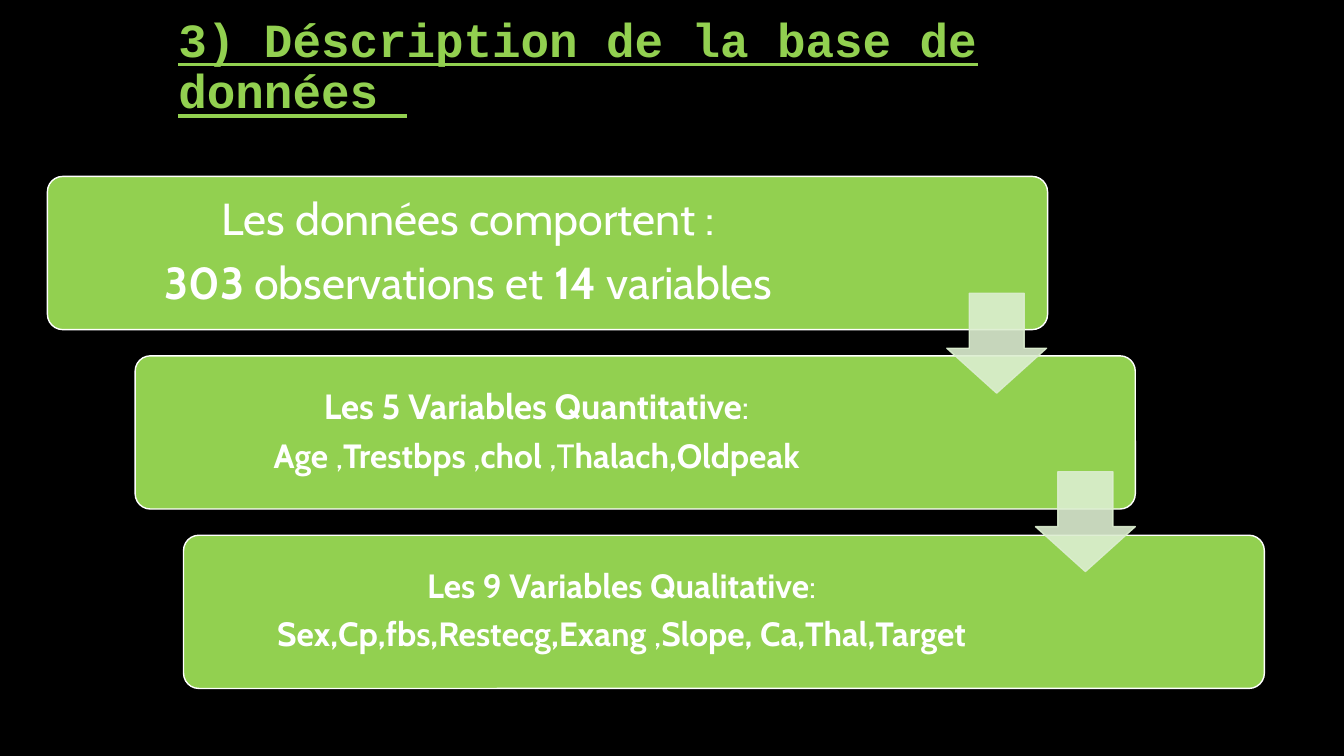
from dataclasses import dataclass

from lxml.etree import SubElement
from pptx import Presentation
from pptx.dml.color import RGBColor
from pptx.enum.shapes import MSO_SHAPE
from pptx.enum.text import MSO_ANCHOR, MSO_AUTO_SIZE, PP_ALIGN
from pptx.oxml.ns import qn
from pptx.util import Inches, Pt


@dataclass(frozen=True)
class Theme:
    background: RGBColor = RGBColor(0x00, 0x00, 0x00)
    green: RGBColor = RGBColor(0x92, 0xD0, 0x50)
    white: RGBColor = RGBColor(0xFF, 0xFF, 0xFF)
    arrow: RGBColor = RGBColor(0xDC, 0xEE, 0xD0)
    title_font: str = "Courier New"
    body_font: str = "Cabin"
    title_size: int = 34
    intro_size: int = 32
    heading_size: int = 25
    list_size: int = 24
    arrow_opacity: int = 90


THEME = Theme()

# Card geometry, in inches
CARD_TOP, CARD_STEP, CARD_HEIGHT = 1.75, 1.78, 1.52
TEXT_OFFSET, TEXT_HEIGHT = 0.04, 1.44

# Each card: left, width, text width, text inset, lines of (text, size).
# Asterisks enclose bold words.
CARDS = [
    (0.47, 9.92, 8.27, 0.13, [
        ("Les données comportent :", THEME.intro_size),
        ("*303* observations et *14* variables", THEME.intro_size),
    ]),
    (1.34, 9.92, 7.96, 0.1, [
        ("*Les 5 Variables Quantitative*: ", THEME.heading_size),
        ("*Age* ,*Trestbps* ,*chol* ,T*halach,Oldpeak *", THEME.list_size),
    ]),
    (1.82, 10.72, 8.61, 0.09, [
        (" *Les 9 Variables Qualitative*: ", THEME.list_size),
        ("*Sex,Cp,fbs,Restecg,Exang* ,*Slope, Ca,Thal,Target*", THEME.list_size),
    ]),
]


def write(paragraph, text, *, size, font, color, underline=None,
          align=None, space_after=None):
    """Fill a paragraph, with words between asterisks in bold."""
    paragraph.alignment = align
    paragraph.line_spacing = 0.9
    if space_after is not None:
        paragraph.space_after = Pt(space_after)
    for index, part in enumerate(text.split("*")):
        if not part:
            continue
        run = paragraph.add_run()
        run.text = part
        run.font.name = font
        run.font.size = Pt(size)
        run.font.bold = index % 2 == 1
        run.font.underline = underline
        run.font.color.rgb = color


def add_panel(slide, kind, left, top, width, height, adjustments, fill, line):
    """Draw a filled preset shape with a thin outline."""
    panel = slide.shapes.add_shape(
        kind, Inches(left), Inches(top), Inches(width), Inches(height))
    for index, value in enumerate(adjustments):
        panel.adjustments[index] = value
    panel.shadow.inherit = False
    panel.fill.solid()
    panel.fill.fore_color.rgb = fill
    panel.line.color.rgb = line
    panel.line.width = Pt(1)
    return panel


def add_title(slide):
    title = slide.shapes.title
    title.left, title.top = Inches(1.67), Inches(0.5)
    title.width, title.height = Inches(10), Inches(1.25)
    frame = title.text_frame
    frame.word_wrap = True
    frame.auto_size = MSO_AUTO_SIZE.NONE
    frame.vertical_anchor = MSO_ANCHOR.BOTTOM
    frame.margin_bottom = Inches(0.57)
    write(frame.paragraphs[0], "*3) Déscription de la base de données*\u00a0".replace("\u00a0", " "),
          size=THEME.title_size, font=THEME.title_font, color=THEME.green,
          underline=True, align=PP_ALIGN.LEFT)


def add_card(slide, top, left, width, text_width, inset, lines):
    add_panel(slide, MSO_SHAPE.ROUNDED_RECTANGLE, left, top, width,
              CARD_HEIGHT, [0.1], THEME.green, THEME.white)
    frame = slide.shapes.add_textbox(
        Inches(left + TEXT_OFFSET), Inches(top + TEXT_OFFSET),
        Inches(text_width), Inches(TEXT_HEIGHT)).text_frame
    frame.word_wrap = True
    frame.vertical_anchor = MSO_ANCHOR.MIDDLE
    frame.margin_left = frame.margin_right = Inches(inset)
    frame.margin_top = frame.margin_bottom = Inches(inset)
    for index, (text, size) in enumerate(lines):
        paragraph = frame.add_paragraph() if index else frame.paragraphs[0]
        write(paragraph, text, size=size, font=THEME.body_font,
              color=THEME.white, align=PP_ALIGN.CENTER,
              space_after=0.35 * size)


def add_arrow(slide, left, top):
    arrow = add_panel(slide, MSO_SHAPE.DOWN_ARROW, left, top, 0.99, 0.99,
                      [0.55, 0.45], THEME.arrow, THEME.arrow)
    # Transparency of fill and outline
    for color in arrow._element.spPr.iter(qn("a:srgbClr")):
        SubElement(color, qn("a:alpha"), val=str(THEME.arrow_opacity * 1000))


def main():
    presentation = Presentation()
    presentation.slide_width = Inches(13.33)
    presentation.slide_height = Inches(7.5)
    slide = presentation.slides.add_slide(presentation.slide_layouts[5])
    slide.background.fill.solid()
    slide.background.fill.fore_color.rgb = THEME.background

    add_title(slide)

    # Staggered cards
    for index, card in enumerate(CARDS):
        add_card(slide, CARD_TOP + index * CARD_STEP, *card)

    # Arrows leading from each card to the next
    for index in range(len(CARDS) - 1):
        add_arrow(slide, 9.39 + 0.88 * index, 2.91 + 1.77 * index)

    presentation.save("out.pptx")


if __name__ == "__main__":
    main()
